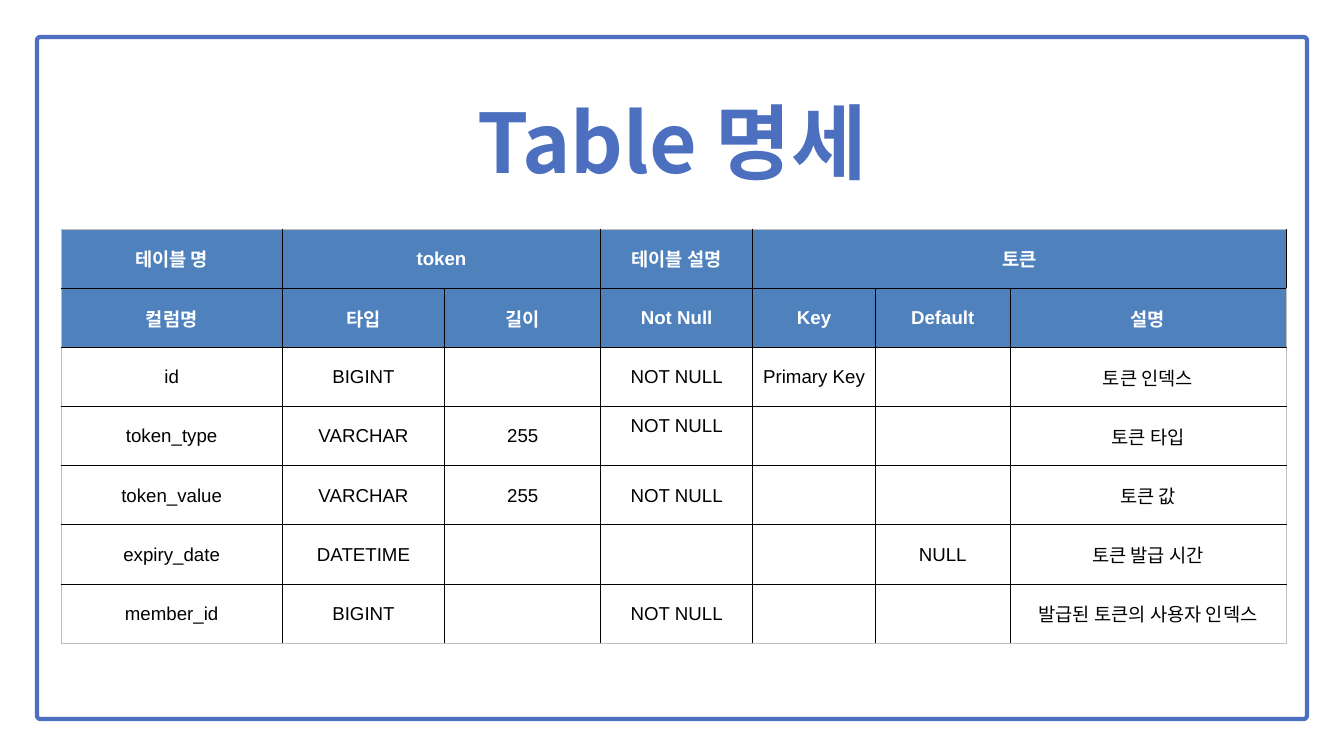
from dataclasses import dataclass

from pptx import Presentation
from pptx.dml.color import RGBColor
from pptx.enum.shapes import MSO_SHAPE
from pptx.enum.text import MSO_ANCHOR, MSO_AUTO_SIZE, PP_ALIGN
from pptx.oxml.ns import qn
from pptx.util import Inches, Pt
from lxml.etree import SubElement


@dataclass(frozen=True)
class Theme:
    accent: str = "4C6FBF"
    header: str = "4F81BD"
    white: str = "FFFFFF"
    ink: str = "000000"
    outer: str = "BFBFBF"
    latin: str = "Arial"
    korean: str = "Noto Sans CJK KR"
    title_size: int = 88
    cell_size: int = 20


T = Theme()
WIDTH, HEIGHT = 20, 11.25
FRAME_INSET = 0.55
TABLE_LEFT, TABLE_TOP, ROW_HEIGHT = 0.91, 3.41, 0.88
COLUMNS = [3.29, 2.42, 2.32, 2.26, 1.83, 2, 4.11]
HEADER_ROWS = 2
MERGES = [(0, 1, 2), (0, 4, 6)]  # row, first column, last column
RAISED_CELL = (3, 3)
ROWS = [
    ["테이블 명", "token", "", "테이블 설명", "토큰", "", ""],
    ["컬럼명", "타입", "길이", "Not Null", "Key", "Default", "설명"],
    ["id", "BIGINT", "", "NOT NULL", "Primary Key", "", "토큰 인덱스"],
    ["token_type", "VARCHAR", "255", "NOT NULL", "", "", "토큰 타입"],
    ["token_value", "VARCHAR", "255", "NOT NULL", "", "", "토큰 값"],
    ["expiry_date", "DATETIME", "", "", "", "NULL", "토큰 발급 시간"],
    ["member_id", "BIGINT", "", "NOT NULL", "", "", "발급된 토큰의 사용자 인덱스"],
]


def set_format(target, values):
    for name, value in values.items():
        setattr(target, name, value)


def add_text(tf, text, size, color, bold, latin):
    p = tf.paragraphs[0]
    p.alignment = PP_ALIGN.CENTER
    r = p.add_run()
    r.text = text
    set_format(r.font, {"size": Pt(size), "bold": bold, "name": latin})
    r.font.color.rgb = RGBColor.from_string(color)
    SubElement(r.font._element, qn("a:ea"), typeface=T.korean)
    return p


def add_frame(s):
    w, h = WIDTH - 2 * FRAME_INSET, HEIGHT - 2 * FRAME_INSET
    sp = s.shapes.add_shape(MSO_SHAPE.ROUNDED_RECTANGLE,
                            *map(Inches, (FRAME_INSET, FRAME_INSET, w, h)))
    sp.adjustments[0] = 0.005
    sp.shadow.inherit = False
    sp.fill.solid()
    sp.fill.fore_color.rgb = RGBColor.from_string(T.white)
    sp.line.color.rgb = RGBColor.from_string(T.accent)
    sp.line.width = Pt(4.5)


def add_title(s, text):
    sp = s.shapes.add_textbox(*map(Inches, (0.6, 1.1, WIDTH - 1.2, 1.75)))
    tf = sp.text_frame
    set_format(tf, {"word_wrap": True, "auto_size": MSO_AUTO_SIZE.SHAPE_TO_FIT_TEXT,
                    "margin_left": 0, "margin_top": 0,
                    "margin_right": 0, "margin_bottom": 0})
    p = add_text(tf, text, T.title_size, T.accent, True, T.korean)
    p.line_spacing = 1.18


def set_borders(cell, row, col):
    """Draw black inner rules and a light outer edge."""
    on_edge = {"L": col == 0, "R": col == len(COLUMNS) - 1,
               "T": row == 0, "B": row == len(ROWS) - 1}
    tcPr = cell._tc.get_or_add_tcPr()
    for side, outer in on_edge.items():
        ln = SubElement(tcPr, qn(f"a:ln{side}"), w=str(Pt(1)))
        fill = SubElement(ln, qn("a:solidFill"))
        SubElement(fill, qn("a:srgbClr"), val=T.outer if outer else T.ink)


def format_cell(cell, row, col, text):
    header = row < HEADER_ROWS
    set_borders(cell, row, col)
    cell.vertical_anchor = MSO_ANCHOR.MIDDLE
    if header:
        cell.fill.solid()
        cell.fill.fore_color.rgb = RGBColor.from_string(T.header)
    else:
        cell.fill.background()
    if row > 0:
        bottom = 0.3 if (row, col) == RAISED_CELL else 0
        set_format(cell, {"margin_left": Inches(0.01), "margin_top": Inches(0.01),
                          "margin_right": Inches(0.01), "margin_bottom": Inches(bottom)})
    if text:
        add_text(cell.text_frame, text, T.cell_size,
                 T.white if header else T.ink, header, T.latin)


def add_spec_table(s):
    box = (TABLE_LEFT, TABLE_TOP, sum(COLUMNS), ROW_HEIGHT * len(ROWS))
    table = s.shapes.add_table(len(ROWS), len(COLUMNS), *map(Inches, box)).table
    set_format(table, {"first_row": False, "horz_banding": False})
    for column, width in zip(table.columns, COLUMNS):
        column.width = Inches(width)
    for i, texts in enumerate(ROWS):
        table.rows[i].height = Inches(ROW_HEIGHT)
        for j, text in enumerate(texts):
            format_cell(table.cell(i, j), i, j, text)
    for row, first, last in MERGES:
        table.cell(row, first).merge(table.cell(row, last))


def main():
    prs = Presentation()
    set_format(prs, {"slide_width": Inches(WIDTH), "slide_height": Inches(HEIGHT)})
    s = prs.slides.add_slide(prs.slide_layouts[6])
    add_frame(s)
    add_title(s, "Table 명세")
    add_spec_table(s)
    prs.save("out.pptx")


if __name__ == "__main__":
    main()
